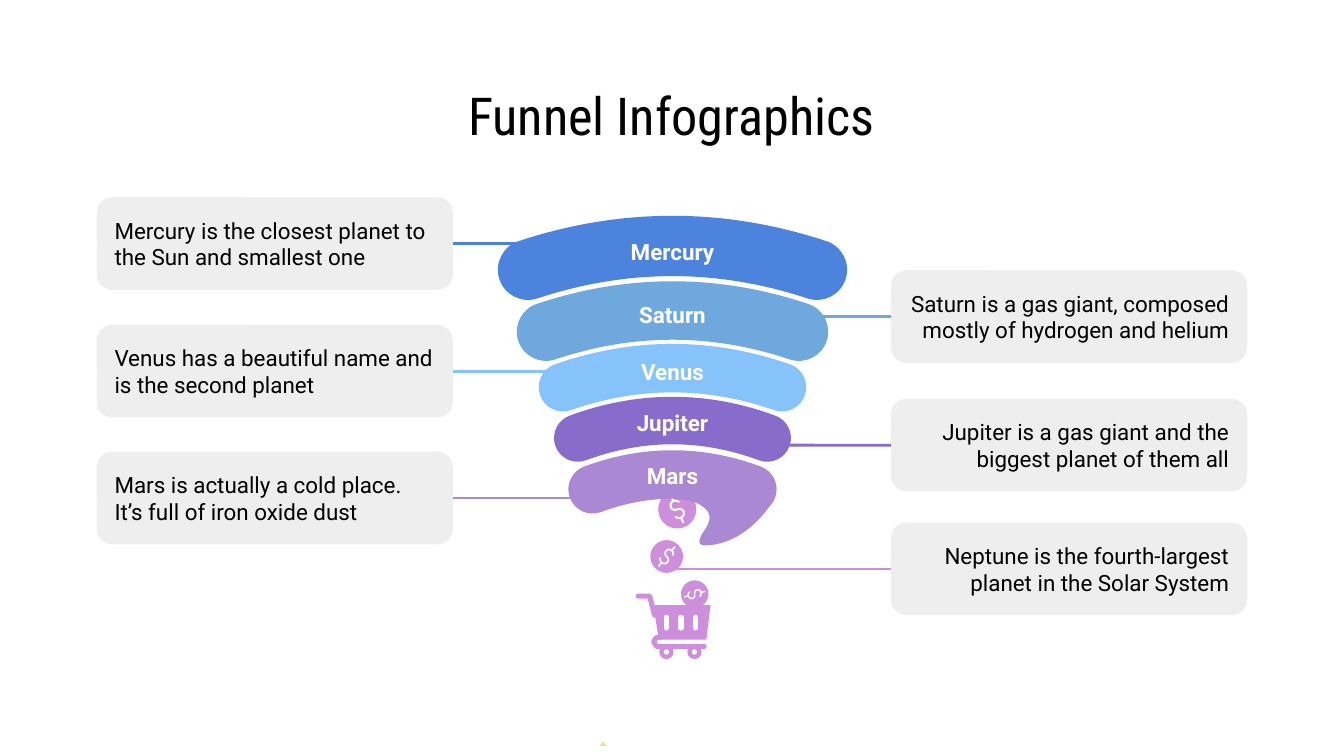
import dataclasses
import math

import lxml.etree
import pptx
import pptx.dml.color
import pptx.enum.shapes
import pptx.enum.text
import pptx.oxml.ns
import pptx.util

Cm = pptx.util.Cm
Pt = pptx.util.Pt
SHAPE = pptx.enum.shapes.MSO_SHAPE
ALIGN = pptx.enum.text.PP_ALIGN
MIDDLE = pptx.enum.text.MSO_ANCHOR.MIDDLE
qn = pptx.oxml.ns.qn


@dataclasses.dataclass(frozen=True)
class Theme:
    ink: str = "000000"
    paper: str = "FFFFFF"
    card: str = "EEEEEE"
    blue: str = "4C84DD"
    steel: str = "6FA8DC"
    sky: str = "85C3FA"
    violet: str = "886CCC"
    lilac: str = "AB88D3"
    pink: str = "CD8FDB"
    gold: str = "FDD980"
    head: str = "Roboto Condensed"
    body: str = "Roboto"
    large: float = 28
    small: float = 12
    rule: float = 1.5


THEME = Theme()
PAD = 0.25
AXIS = 12.71

BANDS = [
    ("Mercury", THEME.blue, 4.65, 2.73, 0.45, 32.31),
    ("Saturn", THEME.steel, 5.87, 2.39, 0.4, 31.33),
    ("Venus", THEME.sky, 6.96, 2.07, 0.36, 25.96),
    ("Jupiter", THEME.violet, 7.95, 1.79, 0.33, 25.45),
    ("Mars", THEME.lilac, 8.97, 1.51, 0.28, 25.96),
]
LEFT = [
    ("Mercury is the closest planet to the Sun and smallest one", THEME.blue, 3.73, 9.78),
    ("Venus has a beautiful name and is the second planet", THEME.sky, 6.14, 10.52),
    ("Mars is actually a cold place. It’s full of iron oxide dust", THEME.lilac, 8.54, 11),
]
RIGHT = [
    ("Saturn is a gas giant, composed mostly of hydrogen and helium", THEME.steel, 5.11, 14.81),
    ("Jupiter is a gas giant and the biggest planet of them all", THEME.violet, 7.54, 14.78),
    ("Neptune is the fourth-largest planet in the Solar System", THEME.pink, 9.88, 12.67),
]
COINS = [(12.8, 9.63, 0.36, -25), (12.6, 10.52, 0.31, 40), (13.13, 11.23, 0.26, -105)]


def tint(text):
    return pptx.dml.color.RGBColor.from_string(text)


def write(shape, text, size, font, color, align, bold=False, pads=(PAD,) * 4):
    frame = shape.text_frame
    frame.text = text
    frame.word_wrap = True
    frame.vertical_anchor = MIDDLE
    sides = [Cm(pad) for pad in pads]
    frame.margin_left, frame.margin_top, frame.margin_right, frame.margin_bottom = sides
    line = frame.paragraphs[0]
    line.alignment = align
    face = line.runs[0].font
    face.name, face.size, face.bold = font, Pt(size), bold
    face.color.rgb = tint(color)


def paint(shape, color):
    shape.shadow.inherit = False
    shape.fill.solid()
    shape.fill.fore_color.rgb = tint(color)
    shape.line.fill.background()
    return shape


def block(slide, kind, left, top, width, height, color):
    shape = slide.shapes.add_shape(kind, Cm(left), Cm(top), Cm(width), Cm(height))
    return paint(shape, color)


def outline(slide, paths, closed):
    scaled = [[(Cm(x), Cm(y)) for x, y in points] for points in paths]
    pen = slide.shapes.build_freeform(*scaled[0][0])
    for step, points in enumerate(scaled):
        if step:
            pen.move_to(*points[0])
        pen.add_line_segments(points[1:], close=closed)
    return pen.convert_to_shape()


def stroke(slide, paths, color, width):
    shape = outline(slide, paths, False)
    shape.shadow.inherit = False
    shape.fill.background()
    shape.line.width = Pt(width)
    shape.line.color.rgb = tint(color)
    edge = shape.line._get_or_add_ln()
    edge.set("cap", "rnd")
    lxml.etree.SubElement(edge, qn("a:round"))
    return shape


def shift(points, left, top):
    return [(left + x, top + y) for x, y in points]


def curve(a, b, c, d, count=12):
    points = []
    for step in range(count + 1):
        t = step / count
        parts = ((1 - t) ** 3, 3 * t * (1 - t) ** 2, 3 * t * t * (1 - t), t ** 3)
        points.append(tuple(sum(k * p[i] for k, p in zip(parts, (a, b, c, d))) for i in (0, 1)))
    return points


def title(slide, left, top, width, height):
    shape = slide.shapes.title
    shape.left, shape.top, shape.width, shape.height = map(Cm, (left, top, width, height))
    write(shape, "Funnel Infographics", THEME.large, THEME.head, THEME.ink, ALIGN.CENTER)


def cards(slide, rows, left, width, height, site, align):
    for text, color, top, end in rows:
        card = block(slide, SHAPE.ROUNDED_RECTANGLE, left, top, width, height, THEME.card)
        write(card, text, THEME.small, THEME.body, THEME.ink, align)
        mid = Cm(top + height / 2)
        rule = slide.shapes.add_connector(
            pptx.enum.shapes.MSO_CONNECTOR.STRAIGHT, Cm(left), mid, Cm(end), mid)
        rule.begin_connect(card, site)
        rule.line.width = Pt(THEME.rule)
        rule.line.color.rgb = tint(color)
        lxml.etree.SubElement(rule._element.spPr, qn("a:effectLst"))


def bands(slide, axis):
    for name, color, top, half, drop, width in BANDS:
        steps = [step / 16 for step in range(-16, 17)]
        arc = [(axis + half * t, top + drop * t * t) for t in steps]
        shape = stroke(slide, [arc], color, width)
        write(shape, name, THEME.small, THEME.body, THEME.paper, ALIGN.CENTER, True,
              (PAD, 0, PAD, PAD))


def spout(slide, left, top):
    knots = [(0.13, 0.13), (0.41, 0.13), (0.58, 0.2), (0.69, 0.33), (0.81, 0.46),
             (0.69, 0.64), (0.64, 0.71), (0.58, 0.81), (0.46, 0.99), (0.66, 0.99),
             (1.32, 0.99), (1.83, 0.38), (1.96, 0.1)]
    points = [(0.13, 0)]
    for start in range(0, len(knots) - 1, 3):
        points += curve(*knots[start:start + 4])
    points.append((1.8, 0))
    paint(outline(slide, [shift(points, left, top)], True), THEME.lilac)


def coin(slide, x, y, radius, angle):
    block(slide, SHAPE.OVAL, x - radius, y - radius, 2 * radius, 2 * radius, THEME.pink)
    bend = []
    for deg in range(-20, -271, -25):
        turn = math.radians(deg)
        bend.append((0.26 * math.cos(turn), 0.24 * math.sin(turn) - 0.24))
    sign = bend + [(-a, -b) for a, b in reversed(bend)]
    bars = [[(0, side * 0.48), (0, side * 0.76)] for side in (-1, 1)]
    turn = math.radians(angle)
    cos, sin = radius * math.cos(turn), radius * math.sin(turn)
    paths = [[(x + a * cos - b * sin, y + a * sin + b * cos) for a, b in points]
             for points in [sign] + bars]
    stroke(slide, paths, THEME.paper, 3 * radius)


def cart(slide, left, top):
    grip = [(0.05, 0.04), (0.27, 0.04), (0.36, 0.4)]
    rail = [(0.5, 0.81), (0.4, 0.82), (0.34, 0.9), (0.4, 0.99), (1.3, 0.99)]
    tub = [(0.34, 0.21), (1.42, 0.21), (1.34, 0.86), (0.44, 0.86)]
    for points in (grip, rail):
        stroke(slide, [shift(points, left, top)], THEME.pink, 2.7)
    paint(outline(slide, [shift(tub, left, top)], True), THEME.pink)
    slots = [shift([(x, 0.44), (x, 0.64)], left, top) for x in (0.58, 0.86, 1.14)]
    stroke(slide, slots, THEME.paper, 2.8)
    for x in (0.45, 0.98):
        wheel = block(slide, SHAPE.DONUT, left + x, top + 0.96, 0.27, 0.27, THEME.pink)
        wheel.adjustments[0] = 0.31


def main():
    deck = pptx.Presentation()
    deck.slide_width, deck.slide_height = Cm(25.4), Cm(14.29)
    slide = deck.slides.add_slide(deck.slide_layouts[5])
    title(slide, 7.92, 1.5, 9.53, 1.35)
    cart(slide, 12.01, 11.23)
    for item in COINS:
        coin(slide, *item)
    cards(slide, LEFT, 1.83, 6.73, 1.75, 3, ALIGN.LEFT)
    cards(slide, RIGHT, 16.84, 6.73, 1.75, 1, ALIGN.RIGHT)
    bands(slide, AXIS)
    spout(slide, 12.67, 9.32)
    block(slide, SHAPE.ISOSCELES_TRIANGLE, 11.33, 14.02, 0.13, 0.08, THEME.gold)
    deck.save("out.pptx")


if __name__ == "__main__":
    main()
